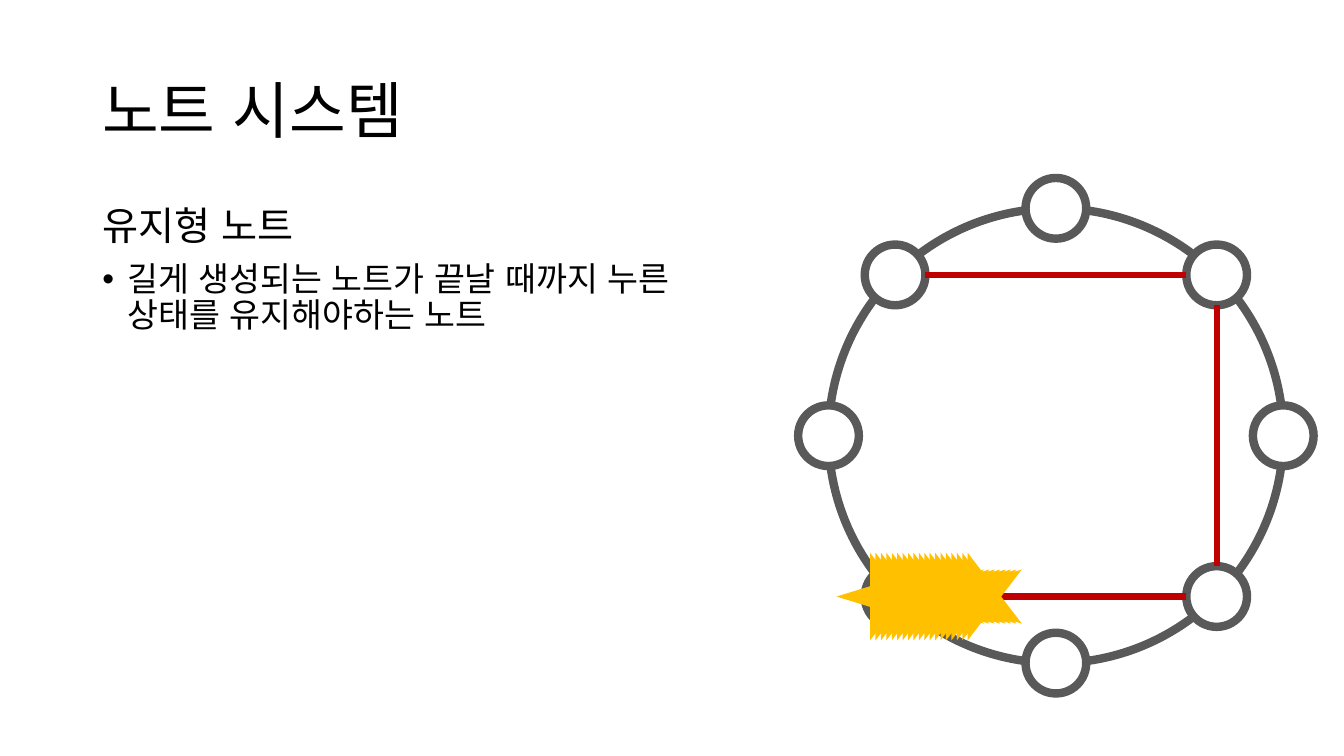
from dataclasses import dataclass
from math import cos, pi, sin

from lxml.etree import SubElement
from pptx import Presentation
from pptx.dml.color import RGBColor as Rgb
from pptx.enum.shapes import MSO_CONNECTOR as Connector, MSO_SHAPE as Preset
from pptx.enum.text import MSO_ANCHOR as Anchor
from pptx.oxml.ns import qn
from pptx.util import Cm, Pt


@dataclass(frozen=True)
class Theme:
    """Colours, type sizes and line widths of the slide."""
    font: str = "Noto Sans CJK KR"
    ink: str = "000000"
    paper: str = "FFFFFF"
    ring: str = "595959"
    path_red: str = "C00000"
    star: str = "FFC000"
    title: int = 44
    heading: int = 28
    body: int = 24
    ring_width: float = 6
    path_width: float = 4.5


def write(paragraph, text, *, theme, size, before=0, bullet=False):
    """Put formatted text into a paragraph."""
    paragraph.line_spacing = 0.9
    paragraph.space_before = Pt(before)
    run = paragraph.add_run()
    run.text = text
    run.font.name = theme.font
    run.font.size = Pt(size)
    run.font.color.rgb = Rgb.from_string(theme.ink)
    properties = run.font._element
    properties.set("lang", "ko-KR")
    SubElement(properties, qn("a:ea"), typeface=theme.font)
    if bullet:
        layout = paragraph._p.get_or_add_pPr()
        indent = Cm(0.635)
        layout.set("marL", str(indent))
        layout.set("indent", str(-indent))
        SubElement(layout, qn("a:buFont"), typeface="Arial")
        SubElement(layout, qn("a:buChar"), char="•")


class Painter:
    """Draws themed elements on one slide; lengths are centimetres."""

    def __init__(self, slide, theme):
        """Keep the slide and its style."""
        self.shapes = slide.shapes
        self.theme = theme

    def text(self, box, paragraphs, anchor=Anchor.TOP):
        """Add a text box from (text, format) pairs."""
        frame = self.shapes.add_textbox(*map(Cm, box)).text_frame
        frame.word_wrap = True
        frame.vertical_anchor = anchor
        for index, (text, style) in enumerate(paragraphs):
            paragraph = frame.add_paragraph() if index else frame.paragraphs[0]
            write(paragraph, text, theme=self.theme, **style)

    def shape(self, preset, centre, size, *, fill=None, line=None, rotation=0, group=None):
        """Add a square preset shape around a centre point."""
        x, y = centre
        box = (x - size / 2, y - size / 2, size, size)
        shape = (group or self).shapes.add_shape(preset, *map(Cm, box))
        shape.shadow.inherit = False
        shape.rotation = rotation
        if fill:
            shape.fill.solid()
            shape.fill.fore_color.rgb = Rgb.from_string(fill)
        else:
            shape.fill.background()
        if line:
            shape.line.color.rgb = Rgb.from_string(line)
            shape.line.width = Pt(self.theme.ring_width)
        else:
            shape.line.fill.background()

    def line(self, start, end):
        """Add one straight segment of the note path."""
        segment = self.shapes.add_connector(Connector.STRAIGHT, *map(Cm, (*start, *end)))
        segment.line.color.rgb = Rgb.from_string(self.theme.path_red)
        segment.line.width = Pt(self.theme.path_width)
        SubElement(segment._element.spPr, qn("a:effectLst"))

    def group(self):
        """Add an empty group."""
        return self.shapes.add_group_shape()


def draw_ring(painter, centre, radius, node_size):
    """Draw the ring with eight nodes and the red path between diagonal ones."""
    theme = painter.theme
    painter.shape(Preset.OVAL, centre, 2 * radius, line=theme.ring)
    x, y = centre
    nodes = [(x + radius * cos(step * pi / 4), y + radius * sin(step * pi / 4))
             for step in range(8)]
    for node in nodes:
        painter.shape(Preset.OVAL, node, node_size, fill=theme.paper, line=theme.ring)

    lower_right, lower_left, upper_left, upper_right = nodes[1::2]
    rim = node_size / 2
    for (x1, y1), (x2, y2), dx, dy in (
        (upper_left, upper_right, rim, 0),
        (lower_right, upper_right, 0, -rim),
        (lower_right, lower_left, -rim, 0),
    ):
        painter.line((x1 + dx, y1 + dy), (x2 - dx, y2 - dy))
    return lower_left


def draw_star_trail(painter, node, *, count, size, lead, length):
    """Draw overlapping stars that trail to the right from a node."""
    trail = painter.group()
    x, y = node
    for index in range(count):
        centre = (x - lead + index * length / (count - 1), y)
        painter.shape(Preset.STAR_5_POINT, centre, size, fill=painter.theme.star,
                      rotation=270, group=trail)


def main():
    """Build and save the slide."""
    deck = Presentation()
    deck.slide_width, deck.slide_height = Cm(33.87), Cm(19.05)
    theme = Theme()
    painter = Painter(deck.slides.add_slide(deck.slide_layouts[6]), theme)

    painter.text((2.33, 1.01, 29.21, 3.68),
                 [("노트 시스템", dict(size=theme.title))], Anchor.MIDDLE)
    painter.text((2.33, 5.07, 16.92, 12.09), [
        ("유지형 노트", dict(size=theme.heading, before=10)),
        ("길게 생성되는 노트가 끝날 때까지 누른 상태를 유지해야하는 노트",
         dict(size=theme.body, before=10, bullet=True)),
    ])
    held_note = draw_ring(painter, centre=(26.61, 10.98), radius=5.73, node_size=1.53)
    draw_star_trail(painter, held_note, count=19, size=2.21, lead=0.37, length=2.46)
    deck.save("out.pptx")


main()
